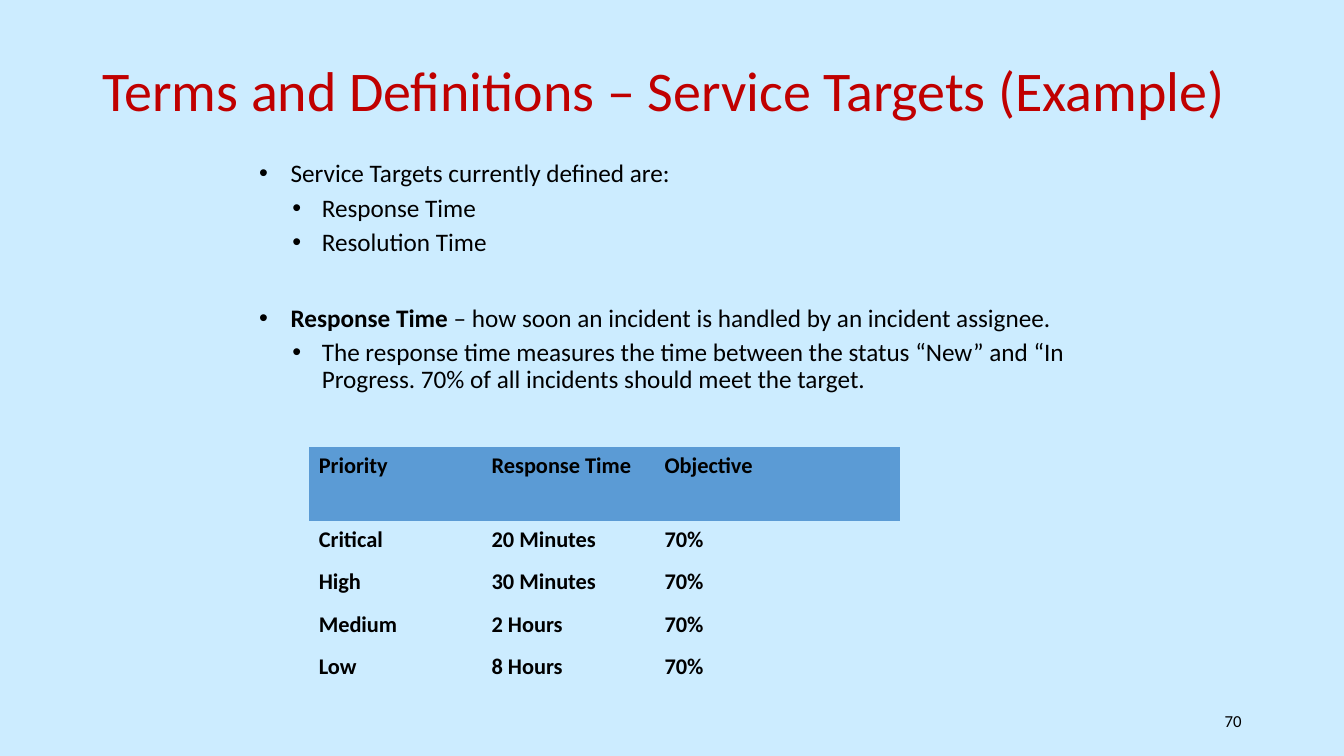
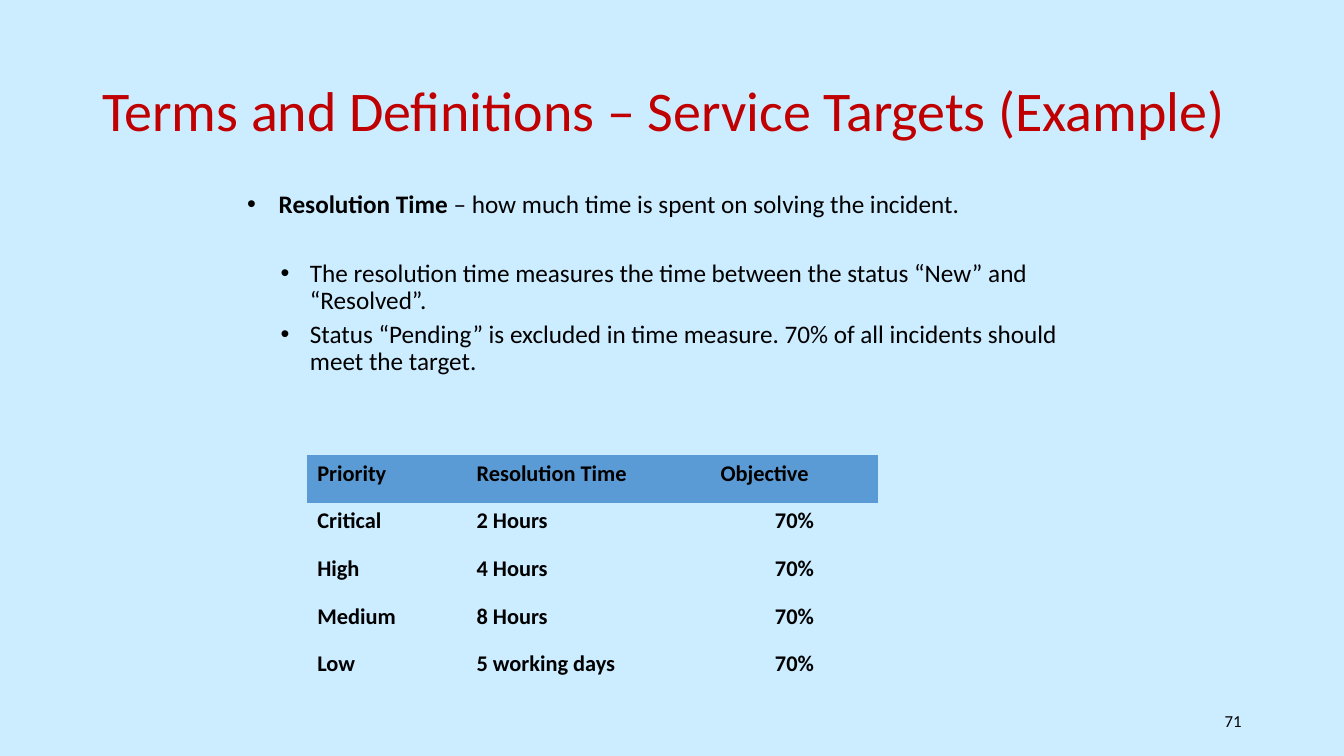
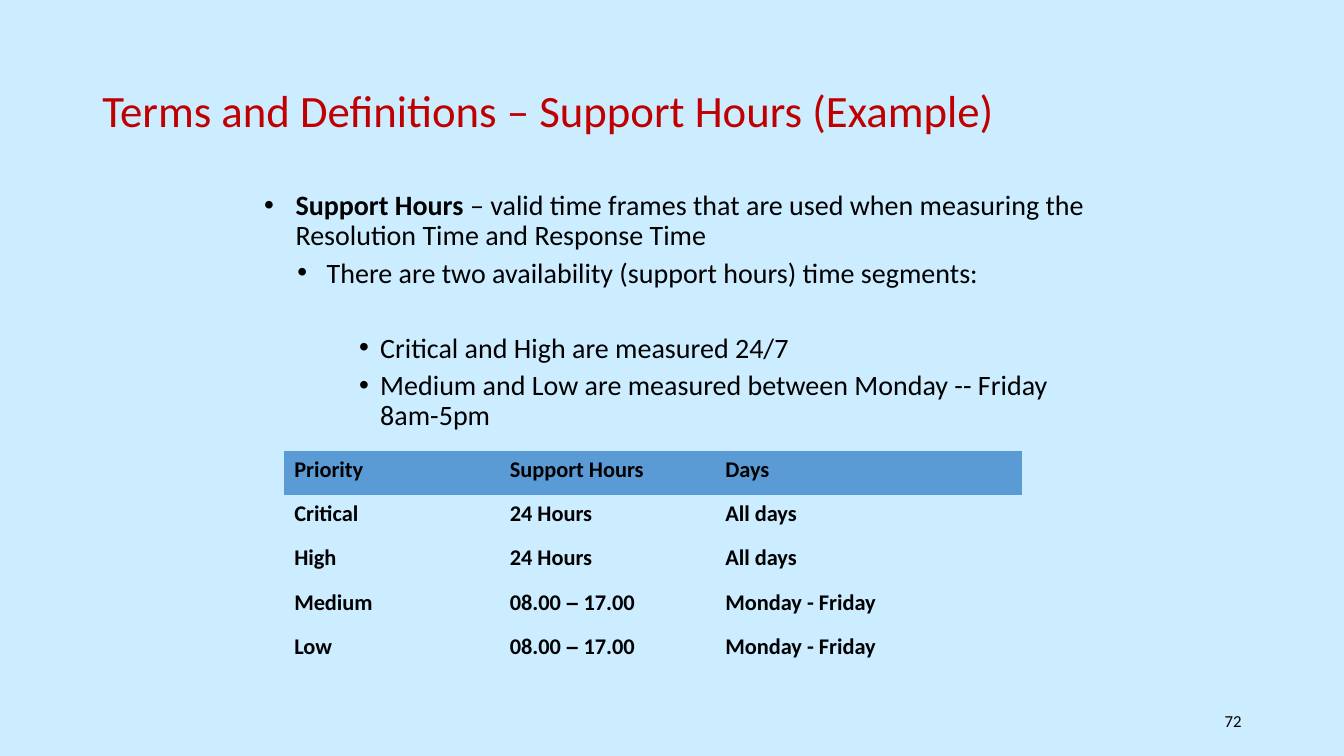
import pptx
import pptx.util
import pptx.dml.color
import pptx.enum.text
import pptx.oxml
import pptx.oxml.ns
from lxml import etree

Pt = pptx.util.Pt
RGBColor = pptx.dml.color.RGBColor
ALIGN = pptx.enum.text.PP_ALIGN
ANCHOR = pptx.enum.text.MSO_ANCHOR
qn = pptx.oxml.ns.qn

SKY = RGBColor(0xCC, 0xEC, 0xFF)
RED = RGBColor(0xC0, 0x00, 0x00)
BLUE = RGBColor(0x5B, 0x9B, 0xD5)
BLACK = RGBColor(0x00, 0x00, 0x00)
FONT = "Calibri"
NO_GRID_STYLE = "{2D5ABB26-0587-4C30-8999-92F81FD0307C}"
INDENTS = [(22.5, -22.5), (44.8, -21), (83, -15)]
HOURS = ["08.00 ", ("–", {"font": "Arial"}), " 17.00"]


def write(p, text, size=18, color=BLACK, bold=False, font=FONT):
    r = p.add_run()
    r.text = text
    r.font.size = Pt(size)
    r.font.name = font
    r.font.bold = bold
    r.font.color.rgb = color


def write_runs(p, runs, **fmt):
    for run in [runs] if isinstance(runs, str) else runs:
        text, extra = (run, {}) if isinstance(run, str) else run
        write(p, text, **{**fmt, **extra})


def add_box(slide, box, anchor=ANCHOR.TOP):
    tf = slide.shapes.add_textbox(*map(Pt, box)).text_frame
    tf.word_wrap = True
    tf.vertical_anchor = anchor
    return tf


def add_title(slide, text, box, size):
    p = add_box(slide, box, ANCHOR.MIDDLE).paragraphs[0]
    p.line_spacing = 0.9
    write(p, text, size=size, color=RED)


def add_page_number(slide, number, box):
    p = add_box(slide, box, ANCHOR.MIDDLE).paragraphs[0]
    p.alignment = ALIGN.RIGHT
    write(p, str(number), size=12)


def add_bullets(slide, items, box, size):
    tf = add_box(slide, box)
    for i, (level, before, runs) in enumerate(items):
        p = tf.add_paragraph() if i else tf.paragraphs[0]
        pPr = p._p.get_or_add_pPr()
        left, hang = INDENTS[level]
        pPr.set("marL", str(Pt(left)))
        pPr.set("indent", str(Pt(hang)))
        etree.SubElement(pPr, qn("a:buFont")).set("typeface", "Arial")
        etree.SubElement(pPr, qn("a:buChar")).set("char", "•")
        p.level = level
        p.line_spacing = 0.9
        p.space_before = Pt(before)
        write_runs(p, runs, size=size)


def add_target_table(slide, rows, left, top, widths, heights, last_align=ALIGN.LEFT):
    frame = slide.shapes.add_table(len(rows), len(widths), Pt(left), Pt(top),
                                   Pt(sum(widths)), Pt(sum(heights)))
    for style in frame.element.iter(qn("a:tableStyleId")):
        style.text = NO_GRID_STYLE
    table = frame.table
    table.horz_banding = False
    for column, width in zip(table.columns, widths):
        column.width = Pt(width)
    for i, (row, height) in enumerate(zip(rows, heights)):
        table.rows[i].height = Pt(height)
        for j, runs in enumerate(row):
            cell = table.cell(i, j)
            if i == 0:
                cell.fill.solid()
                cell.fill.fore_color.rgb = BLUE
            else:
                cell.fill.background()
            p = cell.text_frame.paragraphs[0]
            if i and j == len(row) - 1:
                p.alignment = last_align
            write_runs(p, runs, size=16, bold=True)


def add_definition_slide(prs, number, title, bullets, table,
                         title_top=28.8, title_size=40):
    slide = prs.slides.add_slide(prs.slide_layouts[6])
    add_page_number(slide, number, (678, 500.4, 216, 28.8))
    add_title(slide, title, (66, title_top, 828, 104.4), title_size)
    add_bullets(slide, **bullets)
    add_target_table(slide, **table)


def bold(text):
    return text, {"bold": True}


def main():
    prs = pptx.Presentation()
    prs.slide_width, prs.slide_height = Pt(960), Pt(540)
    fill = prs.slide_master.background.fill
    fill.solid()
    fill.fore_color.rgb = SKY
    targets = "Terms and Definitions – Service Targets (Example)"

    add_definition_slide(
        prs, 70, targets, title_top=14.5,
        bullets=dict(box=(178, 111.6, 605, 205), size=18, items=[
            (0, 0, "Service Targets currently defined are:"),
            (1, 5, "Response Time"),
            (1, 5, "Resolution Time"),
            (0, 34.8, [bold("Response Time"),
                       " – how soon an incident is handled by an incident assignee."]),
            (1, 5, "The response time measures the time between the status “New” "
                   "and “In Progress. 70% of all incidents should meet the target."),
        ]),
        table=dict(left=220.5, top=319.5, widths=[123.5, 123.5, 175.5],
                   heights=[52.6] + [30.4] * 4, rows=[
            ("Priority", "Response Time", "Objective"),
            ("Critical", "20 Minutes", "70%"),
            ("High", "30 Minutes", "70%"),
            ("Medium", "2 Hours", "70%"),
            ("Low", "8 Hours", "70%"),
        ]))

    add_definition_slide(
        prs, 71, targets,
        bullets=dict(box=(169.5, 133.2, 605, 160), size=18, items=[
            (0, 0, [bold("Resolution Time"),
                    " – how much time is spent on solving the incident."]),
            (1, 29.8, "The resolution time measures the time between the status "
                      "“New” and “Resolved”."),
            (1, 5, "Status “Pending” is excluded in time measure. 70% of all "
                   "incidents should meet the target."),
        ]),
        table=dict(left=219.5, top=325, widths=[113.8, 174.2, 120],
                   heights=[34] * 5, last_align=ALIGN.CENTER, rows=[
            ("Priority", "Resolution Time", "Objective"),
            ("Critical", "2 Hours", "70%"),
            ("High", "4 Hours", "70%"),
            ("Medium", "8 Hours", "70%"),
            ("Low", "5 working days", "70%"),
        ]))

    add_definition_slide(
        prs, 72, "Terms and Definitions – Support Hours (Example)", title_size=32,
        bullets=dict(box=(181.5, 133.2, 605, 211), size=20, items=[
            (0, 0, [bold("Support Hours"),
                    " – valid time frames that are used when measuring the "
                    "Resolution Time and Response Time"]),
            (1, 5, "There are two availability (support hours) time segments:"),
            (2, 32, "Critical and High are measured 24/7"),
            (2, 5, "Medium and Low are measured between Monday -- Friday 8am-5pm"),
        ]),
        table=dict(left=203, top=322, widths=[154, 154, 219],
                   heights=[31.7] * 5, rows=[
            ("Priority", "Support Hours", "Days"),
            ("Critical", "24 Hours", "All days"),
            ("High", "24 Hours", "All days"),
            ("Medium", HOURS, "Monday - Friday"),
            ("Low", HOURS, "Monday - Friday"),
        ]))

    prs.save("out.pptx")


if __name__ == "__main__":
    main()
